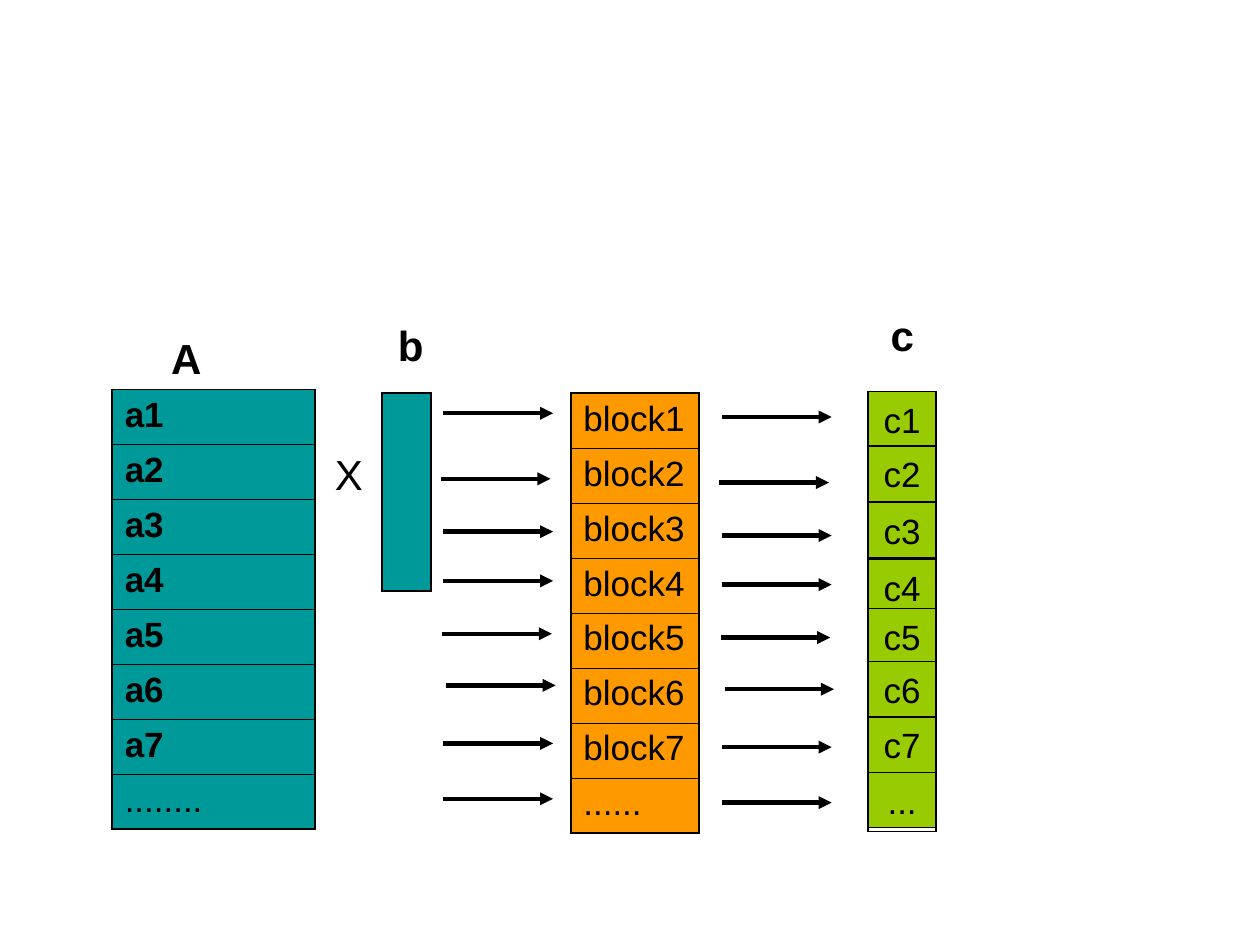
from lxml.etree import SubElement
from pptx import Presentation
from pptx.dml.color import RGBColor
from pptx.enum.shapes import MSO_CONNECTOR, MSO_SHAPE
from pptx.enum.text import MSO_ANCHOR, MSO_AUTO_SIZE, PP_ALIGN
from pptx.oxml.ns import qn
from pptx.util import Inches, Pt

# The slide is a grid of 100 columns by 75 rows
COLS, ROWS = 100, 75
WIDE, HIGH = Inches(10), Inches(7.5)
INK, TEAL, GOLD, LIME = "000000", "009999", "FF9900", "99CC00"
THICK, THIN = 1.08, 0.45


def paint(hue):
    return RGBColor.from_string(hue)


def place(box):
    """Turn left, top, width, height in grid units into lengths."""
    return [int(part * full / count) for part, full, count
            in zip(box, (WIDE, HIGH) * 2, (COLS, ROWS) * 2)]


def write(frame, text, size, gap, bold=False):
    para = frame.paragraphs[0]
    para.text = text
    para.space_before = Pt(gap)
    font = para.font
    font.name, font.size, font.bold = "Arial", Pt(size), bold
    font.color.rgb = paint(INK)
    return para


def edge(cell, side, width):
    line = SubElement(cell._tc.get_or_add_tcPr(), qn("a:ln" + side),
                      w=str(Pt(width)))
    fill = SubElement(line, qn("a:solidFill"))
    SubElement(fill, qn("a:srgbClr"), val=INK)


def stack(slide, box, texts, hue=None, bold=False):
    """A one-column table with thick outer and thin inner lines."""
    count = len(texts)
    left, top, width, height = place(box)
    table = slide.shapes.add_table(count, 1, left, top, width, height).table
    table.first_row = table.horz_banding = False
    for row, text in enumerate(texts):
        cell = table.cell(row, 0)
        edge(cell, "L", THICK)
        edge(cell, "R", THICK)
        edge(cell, "T", THIN if row else THICK)
        edge(cell, "B", THIN if row < count - 1 else THICK)
        if hue:
            cell.fill.solid()
            cell.fill.fore_color.rgb = paint(hue)
        else:
            cell.fill.background()
        if text:
            write(cell.text_frame, text, 20, 5, bold and text[0] != ".")


def label(slide, box, text, bold=True):
    frame = slide.shapes.add_textbox(*place(box)).text_frame
    frame.word_wrap = False
    frame.auto_size = MSO_AUTO_SIZE.SHAPE_TO_FIT_TEXT
    write(frame, text, 24, 15, bold)


def tiles(slide, box, tops, texts):
    """Separate result tiles, each at its own distance below the box top."""
    left, top, width, height = box
    for down, text in zip(tops, texts):
        tile = slide.shapes.add_shape(
            MSO_SHAPE.RECTANGLE, *place((left, top + down, width, height)))
        tile.shadow.inherit = False
        tile.fill.solid()
        tile.fill.fore_color.rgb = paint(LIME)
        tile.line.color.rgb = paint(INK)
        tile.line.width = Pt(0.75)
        frame = tile.text_frame
        frame.word_wrap = True
        frame.auto_size = MSO_AUTO_SIZE.SHAPE_TO_FIT_TEXT
        frame.vertical_anchor = MSO_ANCHOR.MIDDLE
        write(frame, text, 20, 12.5).alignment = PP_ALIGN.CENTER


def arrows(slide, left, top, width, steps):
    """A column of arrows; each step is a shift right and down."""
    for right, down in steps:
        x, y, span, _ = place((left + right, top + down, width, 0))
        arrow = slide.shapes.add_connector(
            MSO_CONNECTOR.STRAIGHT, x, y, x + span, y)
        arrow.line.color.rgb = paint(INK)
        arrow.line.width = Pt(2.5)
        SubElement(arrow.line._get_or_add_ln(), qn("a:tailEnd"),
                   type="triangle")
        SubElement(arrow._element.spPr, qn("a:effectLst"))


def names(stem, dots):
    return [f"{stem}{n}" for n in range(1, 8)] + [dots]


def product(slide):
    """Matrix A times vector b, by blocks, gives c."""
    tall = 34.9
    steps = [(0, 0), (-0.2, 5.2), (0, 9.4), (0, 13.3),
             (-0.1, 17.5), (0.2, 21.6), (0, 26.2), (0, 30.6)]

    # Matrix and vector
    stack(slide, (30.3, 31.2, 3.9, 15.7), [""], TEAL)
    stack(slide, (8.9, 30.9, 16.1, tall), names("a", "........"), TEAL, True)
    label(slide, (12.6, 25.9, 4.4, 5), "A")
    label(slide, (30.6, 24.9, 4, 5), "b")
    label(slide, (25.6, 35.1, 4.2, 5), "X", False)

    # Blocks between two columns of arrows
    arrows(slide, 35.2, 32.8, 8.7, steps)
    stack(slide, (45.3, 31.2, 10.2, tall), names("block", "......"), GOLD)
    arrows(slide, 57.3, 33.1, 8.7, steps)

    # Result: an empty frame behind the tiles
    label(slide, (69.7, 24.1, 3.8, 5), "c")
    stack(slide, (68.9, 31.1, 5.4, tall), [""] * 8)
    tiles(slide, (68.9, 31.1, 5.4, 4.4),
          (0, 4.3, 8.8, 13.3, 17.2, 21.4, 25.8, 30.2), names("c", "..."))


def main():
    deck = Presentation()
    deck.slide_width, deck.slide_height = WIDE, HIGH
    product(deck.slides.add_slide(deck.slide_layouts[6]))
    deck.save("out.pptx")


if __name__ == "__main__":
    main()
